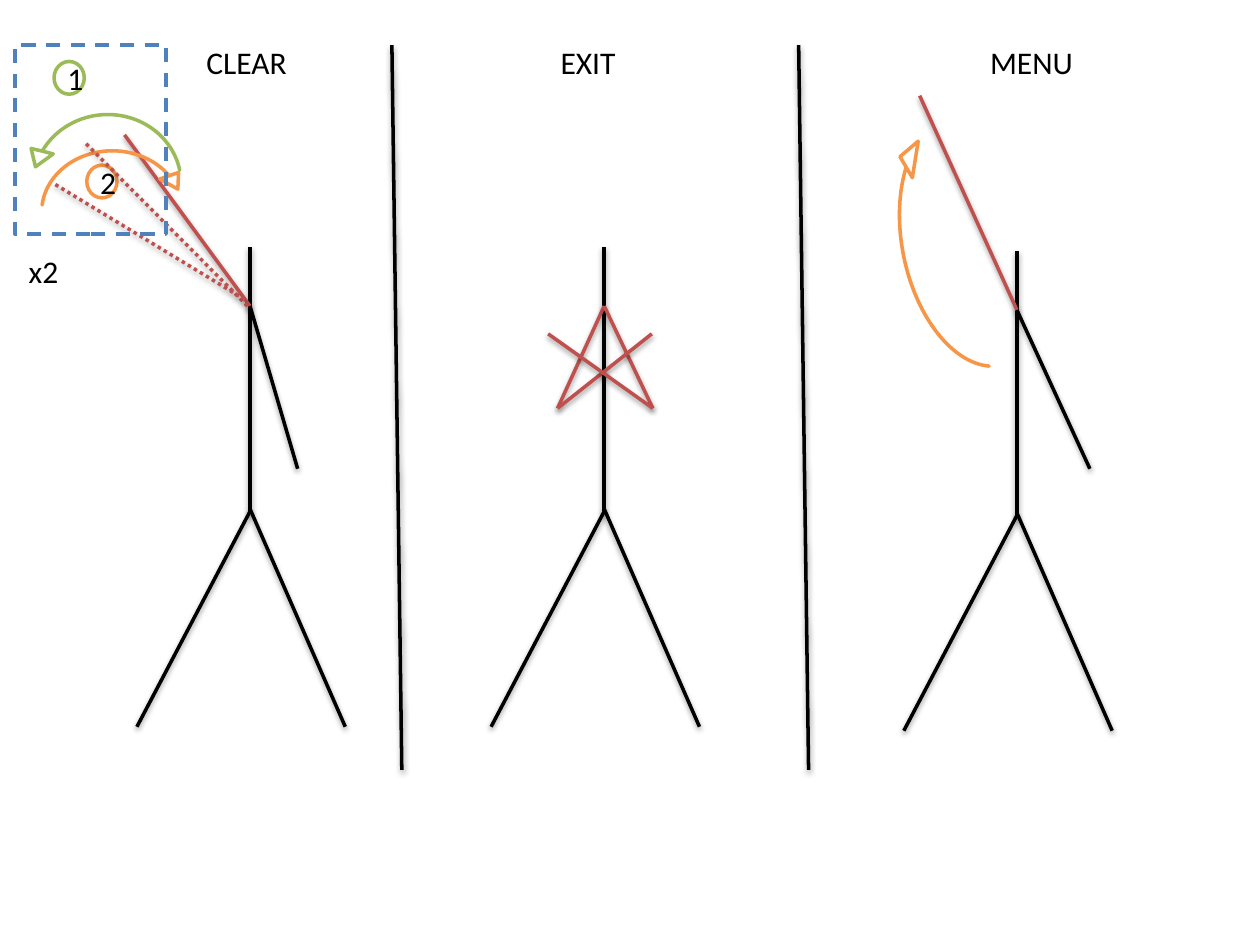
from dataclasses import dataclass

from pptx import Presentation
from pptx.dml.color import RGBColor
from pptx.enum.dml import MSO_LINE
from pptx.enum.shapes import MSO_CONNECTOR, MSO_SHAPE
from pptx.enum.text import MSO_ANCHOR, MSO_AUTO_SIZE, PP_ALIGN
from pptx.util import Cm, Pt

Point = tuple[float, float]
Box = tuple[float, float, float, float]  # left, top, width, height in cm


@dataclass(frozen=True)
class Theme:
    black: RGBColor = RGBColor(0x00, 0x00, 0x00)
    white: RGBColor = RGBColor(0xFF, 0xFF, 0xFF)
    red: RGBColor = RGBColor(0xC0, 0x50, 0x4D)
    green: RGBColor = RGBColor(0x9B, 0xBB, 0x59)
    orange: RGBColor = RGBColor(0xF7, 0x96, 0x46)
    blue: RGBColor = RGBColor(0x4F, 0x81, 0xBD)
    font: str = "Calibri"
    text_size: Pt = Pt(18)
    line_width: Pt = Pt(2)


THEME = Theme()


@dataclass(frozen=True)
class Limb:
    """A line given by offsets in cm from the neck of a figure."""
    start: Point
    end: Point
    color: RGBColor = THEME.red
    dash: MSO_LINE | None = None


@dataclass(frozen=True)
class Figure:
    neck: Point
    arms: tuple[Limb, ...]


@dataclass(frozen=True)
class Arc:
    box: Box
    color: RGBColor
    rotation: float
    flips: tuple[str, ...] = ()


@dataclass(frozen=True)
class Label:
    text: str
    box: Box


@dataclass(frozen=True)
class Step:
    number: str
    box: Box
    color: RGBColor


NECK = (0, 0)
LEFT_HAND, RIGHT_HAND = (-0.94, 2.06), (0.98, 2.06)
BODY = (
    Limb((0, -1.19), (0, 4.14), THEME.black),
    Limb((0, 4.14), (-2.28, 8.48), THEME.black),
    Limb((0, 4.09), (1.92, 8.48), THEME.black),
)
CLEAR = Figure((5.04, 6.17), (
    Limb(NECK, (-2.53, -3.45)),
    Limb(NECK, (0.96, 3.28), THEME.black),
))
EXIT = Figure((12.18, 6.17), (
    Limb(NECK, LEFT_HAND),
    Limb(NECK, RIGHT_HAND),
    Limb(LEFT_HAND, (0.96, 0.56)),
    Limb((-1.13, 0.56), RIGHT_HAND),
))
MENU = Figure((20.5, 6.25), (
    Limb(NECK, (-1.96, -4.32)),
    Limb(NECK, (1.47, 3.2), THEME.black),
))
WAVING_ARMS = (
    Limb((-0.05, 0), (-3.33, -3.3), dash=MSO_LINE.ROUND_DOT),
    Limb((-0.1, -0.13), (-3.94, -2.46), dash=MSO_LINE.ROUND_DOT),
)
ARCS = (
    Arc((0.43, 2.08, 3.45, 3.28), THEME.green, 174.7, ("flipV",)),
    Arc((0.64, 2.84, 3.25, 2.87), THEME.orange, 180, ("flipH", "flipV")),
    Arc((16.89, 3.1, 5.61, 3.51), THEME.orange, 258.7),
)
ARC_ADJUSTMENTS = (0, 7.99, 196.48, 111.46, 0.07)
STEPS = (
    Step("1", (1.09, 1.24, 0.61, 0.66), THEME.green),
    Step("2", (1.75, 3.33, 0.61, 0.66), THEME.orange),
)
LABELS = (
    Label("CLEAR", (3.91, 0.74, 2.16, 1.02)),
    Label("EXIT", (11.05, 0.74, 1.63, 1.02)),
    Label("MENU", (19.71, 0.74, 2.18, 1.02)),
    Label("x2", (0.33, 4.95, 1.12, 1.02)),
)
DIVIDER_LEFTS = (7.9, 16.1)


def draw_line(slide, start: Point, end: Point, color: RGBColor, dash=None) -> None:
    # Connectors keep the soft shadow of the theme
    connector = slide.shapes.add_connector(
        MSO_CONNECTOR.STRAIGHT, *(Cm(value) for value in (*start, *end)))
    connector.line.color.rgb = color
    connector.line.width = THEME.line_width
    if dash is not None:
        connector.line.dash_style = dash


def draw_limbs(slide, neck: Point, limbs: tuple[Limb, ...]) -> None:
    for limb in limbs:
        start, end = ((neck[0] + x, neck[1] + y) for x, y in (limb.start, limb.end))
        draw_line(slide, start, end, limb.color, limb.dash)


def draw_shape(slide, preset: MSO_SHAPE, box: Box, color: RGBColor):
    shape = slide.shapes.add_shape(preset, *(Cm(value) for value in box))
    shape.shadow.inherit = False
    shape.fill.solid()
    shape.fill.fore_color.rgb = THEME.white
    shape.line.color.rgb = color
    shape.line.width = THEME.line_width
    return shape


def draw_arc(slide, arc: Arc) -> None:
    shape = draw_shape(slide, MSO_SHAPE.CIRCULAR_ARROW, arc.box, arc.color)
    for index, value in enumerate(ARC_ADJUSTMENTS):
        shape.adjustments[index] = value
    shape.rotation = arc.rotation
    for flip in arc.flips:
        shape.element.spPr.xfrm.set(flip, "1")


def write_text(shape, text: str, alignment: PP_ALIGN) -> None:
    shape.text_frame.text = text
    paragraph = shape.text_frame.paragraphs[0]
    paragraph.alignment = alignment
    font = paragraph.runs[0].font
    font.name = THEME.font
    font.size = THEME.text_size
    font.color.rgb = THEME.black


def draw_step(slide, step: Step) -> None:
    shape = draw_shape(slide, MSO_SHAPE.OVAL, step.box, step.color)
    shape.text_frame.vertical_anchor = MSO_ANCHOR.MIDDLE
    write_text(shape, step.number, PP_ALIGN.CENTER)


def draw_label(slide, label: Label) -> None:
    text_box = slide.shapes.add_textbox(*(Cm(value) for value in label.box))
    text_box.text_frame.word_wrap = False
    text_box.text_frame.auto_size = MSO_AUTO_SIZE.SHAPE_TO_FIT_TEXT
    write_text(text_box, label.text, PP_ALIGN.LEFT)


def main() -> None:
    presentation = Presentation()
    presentation.slide_width, presentation.slide_height = Cm(25.4), Cm(19.05)
    slide = presentation.slides.add_slide(presentation.slide_layouts[6])

    # Stick figures
    for figure in (CLEAR, EXIT, MENU):
        draw_limbs(slide, figure.neck, BODY + figure.arms)

    # Movement arrows and their order
    for arc in ARCS:
        draw_arc(slide, arc)
    for step in STEPS:
        draw_step(slide, step)
    draw_limbs(slide, CLEAR.neck, WAVING_ARMS)

    # Column dividers
    for left in DIVIDER_LEFTS:
        draw_line(slide, (left, 0.91), (left + 0.2, 15.52), THEME.black)

    # Frame around the repeated movement
    frame = draw_shape(slide, MSO_SHAPE.RECTANGLE, (0.3, 0.91, 3.05, 3.81), THEME.blue)
    frame.fill.background()
    frame.line.dash_style = MSO_LINE.SQUARE_DOT
    frame.line.dash_style = MSO_LINE.DASH

    # Captions
    for label in LABELS:
        draw_label(slide, label)

    presentation.save("out.pptx")


if __name__ == "__main__":
    main()
